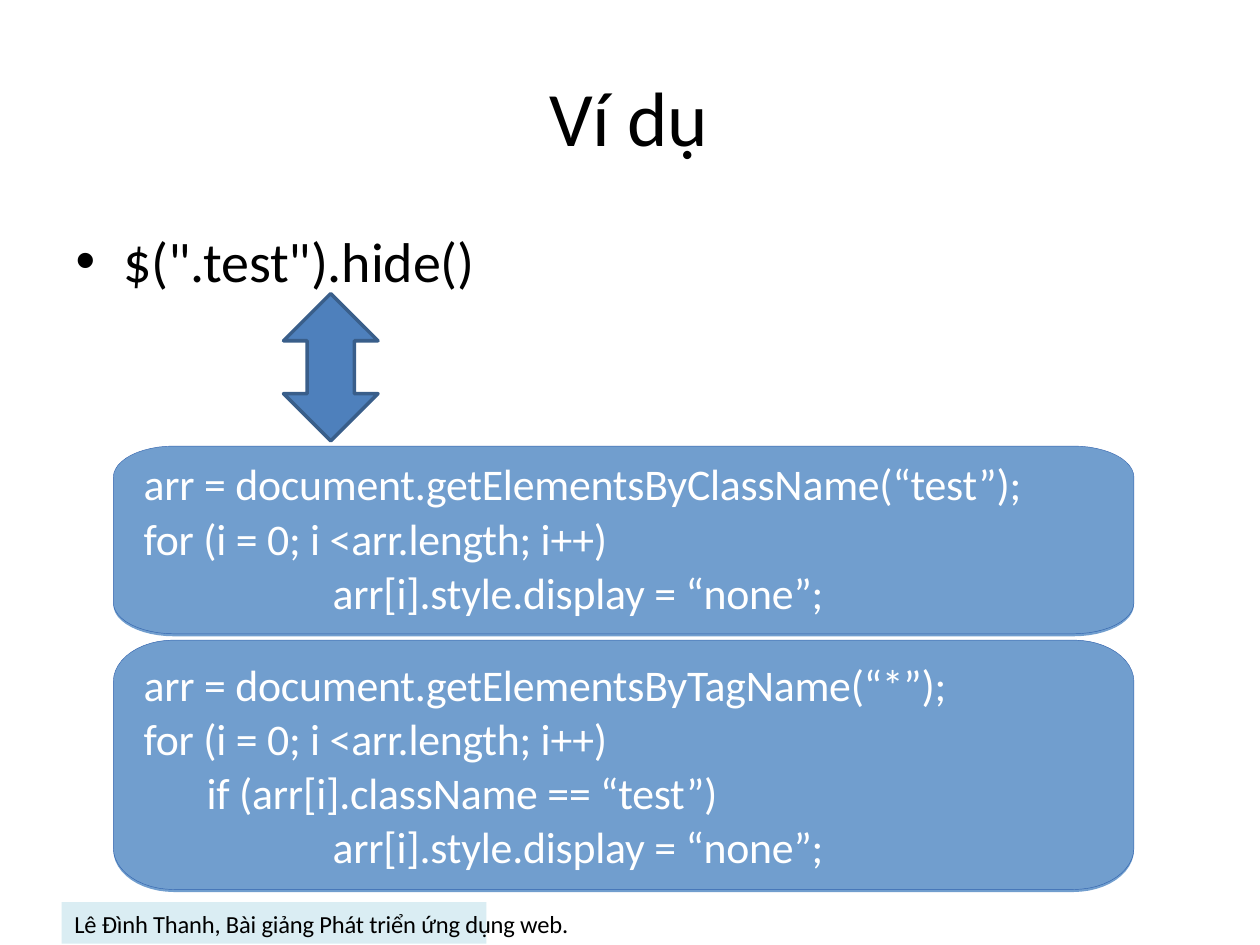
from math import cos, pi, sin

from pptx import Presentation
from pptx.dml.color import RGBColor
from pptx.enum.shapes import MSO_SHAPE
from pptx.enum.text import MSO_ANCHOR
from pptx.util import Inches, Pt
from lxml import etree

UP_DOWN_ARROW = MSO_SHAPE.UP_DOWN_ARROW
RECTANGLE = MSO_SHAPE.RECTANGLE
TOP = MSO_ANCHOR.TOP

BLACK = RGBColor(0x00, 0x00, 0x00)
WHITE = RGBColor(0xFF, 0xFF, 0xFF)
ARROW_FILL = RGBColor(0x4E, 0x80, 0xBC)
ARROW_EDGE = RGBColor(0x39, 0x5E, 0x8A)
PANEL_FILL = RGBColor(0x71, 0x9E, 0xCE)
PANEL_EDGE = RGBColor(0x33, 0x64, 0xAE)
FOOTER_FILL = RGBColor(0xDA, 0xED, 0xF3)

FONT = "Calibri"
DRAWING_NS = "{http://schemas.openxmlformats.org/drawingml/2006/main}"
WIDTH, HEIGHT = 10, 7.5

PANEL_LEFT, PANEL_WIDTH = 0.9, 8.1
CODE_LEFT, CODE_WIDTH = 1.13, 7.54
CORNER_WIDTH = 0.48
ARC_STEPS = 12
INDENT = 0.5

LOOP = (0, "for (i = 0; i <arr.length; i++)")
HIDE = (3, "arr[i].style.display = “none”;")
BY_CLASS = [(0, "arr = document.getElementsByClassName(“test”);"), LOOP, HIDE]
BY_TAG = [
    (0, "arr = document.getElementsByTagName(“*”);"),
    LOOP,
    (1, "if (arr[i].className == “test”)"),
    HIDE,
]


def add_text(slide, box, lines, size, color=BLACK, spacing=None,
             before=0, bullet=None, track=-0.1):
    """Write (indent level, text) lines; track is letter spacing in points."""
    frame = slide.shapes.add_textbox(*map(Inches, box)).text_frame
    frame.word_wrap = True
    frame.vertical_anchor = TOP
    frame.margin_left = frame.margin_right = frame.margin_bottom = 0
    frame.margin_top = Inches(0.01)
    for number, (level, text) in enumerate(lines):
        paragraph = frame.add_paragraph() if number else frame.paragraphs[0]
        paragraph.space_before = Pt(before)
        if spacing:
            paragraph.line_spacing = spacing
        properties = paragraph._p.get_or_add_pPr()
        properties.set("marL", str(Inches(0.01 + level * INDENT)))
        if bullet:
            properties.set("marL", str(Inches(0.39)))
            properties.set("indent", str(Inches(-0.38)))
            font = etree.SubElement(properties, DRAWING_NS + "buFont")
            font.set("typeface", "Arial")
            mark = etree.SubElement(properties, DRAWING_NS + "buChar")
            mark.set("char", bullet)
        run = paragraph.add_run()
        run.text = text
        run.font.name = FONT
        run.font.size = Pt(size)
        run.font.color.rgb = color
        run._r.get_or_add_rPr().set("spc", str(round(track * 100)))


def paint(shape, fill=None, edge=None, edge_width=0):
    shape.shadow.inherit = False
    if fill is None:
        shape.fill.background()
    else:
        shape.fill.solid()
        shape.fill.fore_color.rgb = fill
    if edge is None:
        shape.line.fill.background()
    else:
        shape.line.color.rgb = edge
        shape.line.width = Pt(edge_width)


def add_shape(slide, preset, box, **colors):
    paint(slide.shapes.add_shape(preset, *map(Inches, box)), **colors)


def add_rounded(slide, top, height, **colors):
    """Draw a full-width panel whose corners are quarter ellipses."""
    corner_height = height / 6
    middle_x, middle_y = PANEL_LEFT + PANEL_WIDTH / 2, top + height / 2
    reach_x = PANEL_WIDTH / 2 - CORNER_WIDTH
    reach_y = height / 2 - corner_height
    points = []
    for corner, (side_x, side_y) in enumerate([(1, 1), (-1, 1), (-1, -1), (1, -1)]):
        for step in range(ARC_STEPS + 1):
            angle = (corner + step / ARC_STEPS) * pi / 2
            x = middle_x + side_x * reach_x + CORNER_WIDTH * cos(angle)
            y = middle_y + side_y * reach_y + corner_height * sin(angle)
            points.append((Inches(x), Inches(y)))
    outline = slide.shapes.build_freeform(*points[0])
    outline.add_line_segments(points[1:], close=True)
    paint(outline.convert_to_shape(), **colors)


def add_code_panel(slide, top, height, text_top, code):
    add_rounded(slide, top, height, fill=PANEL_FILL)
    add_rounded(slide, top, height - 0.02, edge=PANEL_EDGE, edge_width=0.25)
    text_box = (CODE_LEFT, text_top, CODE_WIDTH, 0.43 * len(code))
    add_text(slide, text_box, code, 25, color=WHITE, spacing=1.02, before=0.4)


def main():
    presentation = Presentation()
    presentation.slide_width = Inches(WIDTH)
    presentation.slide_height = Inches(HEIGHT)
    slide = presentation.slides.add_slide(presentation.slide_layouts[6])

    add_text(slide, (4.35, 0.54, 1.4, 0.76), [(0, "Ví dụ")], 44, before=1)
    add_text(slide, (0.59, 1.79, 3.4, 0.56), [(0, '$(".test").hide()')], 32,
             before=1, bullet="•")
    add_shape(slide, UP_DOWN_ARROW, (2.25, 2.33, 0.75, 1.17),
              fill=ARROW_FILL, edge=ARROW_EDGE, edge_width=2)

    add_code_panel(slide, 5.08, 2, 5.2, BY_TAG)
    add_code_panel(slide, 3.54, 1.51, 3.61, BY_CLASS)

    add_shape(slide, RECTANGLE, (0.49, 7.16, 3.37, 0.33), fill=FOOTER_FILL)
    add_text(slide, (0.58, 7.24, 4.2, 0.22),
             [(0, "Lê Đình Thanh, Bài giảng Phát triển ứng dụng web.")], 14,
             spacing=Pt(14.3))

    presentation.save("out.pptx")


if __name__ == "__main__":
    main()
